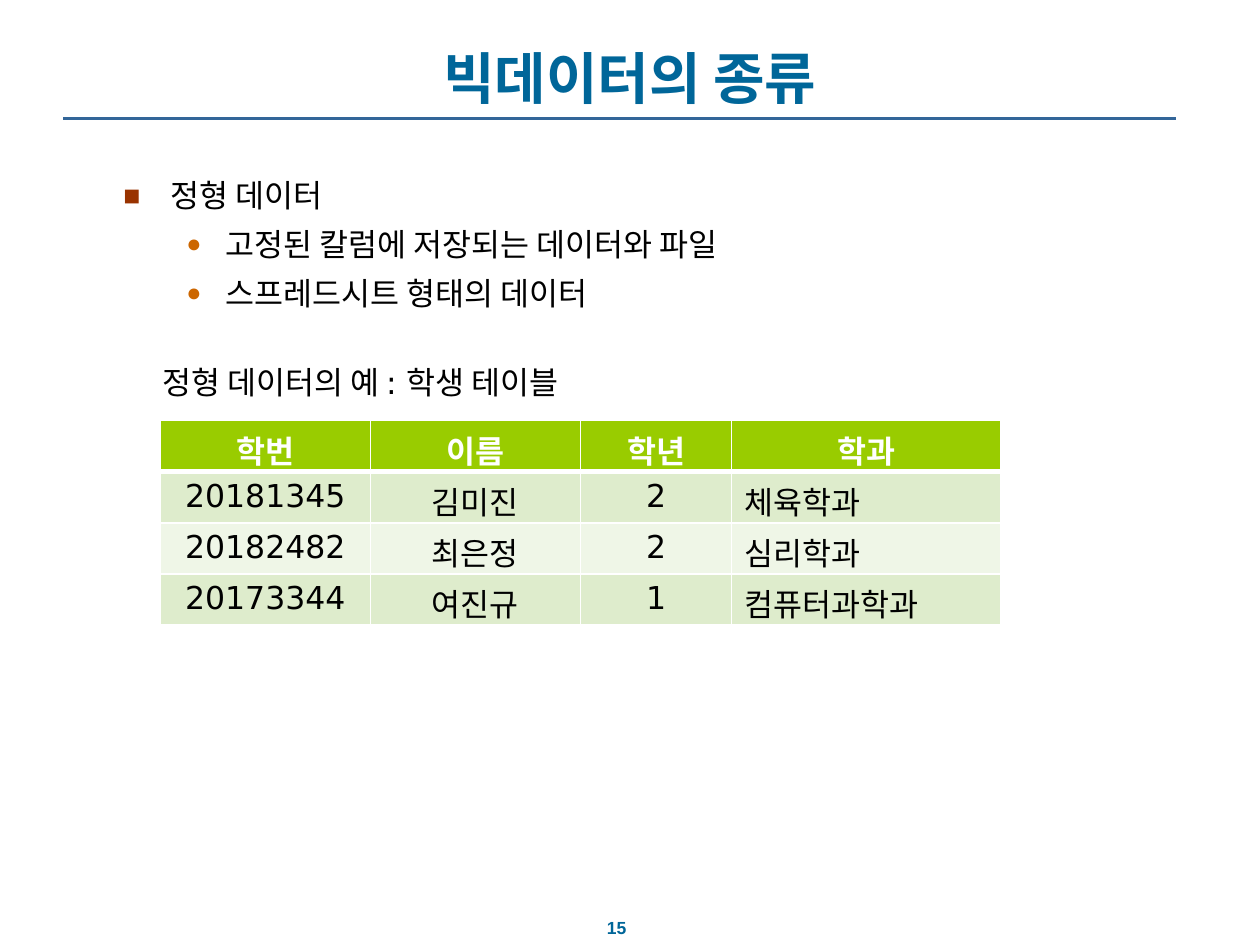
import lxml.etree
import pptx
import pptx.dml.color
import pptx.enum.shapes
import pptx.enum.text
import pptx.oxml.ns
import pptx.util

Cm, Pt = pptx.util.Cm, pptx.util.Pt
RGBColor = pptx.dml.color.RGBColor
Align = pptx.enum.text.PP_ALIGN
Anchor = pptx.enum.text.MSO_ANCHOR
qn = pptx.oxml.ns.qn

TEAL = RGBColor(0x00, 0x66, 0x99)
RULE_BLUE = RGBColor(0x33, 0x66, 0x99)
BROWN = RGBColor(0x99, 0x33, 0x00)
ORANGE = RGBColor(0xCC, 0x66, 0x00)
HEADER_GREEN = RGBColor(0x99, 0xCC, 0x00)
BAND_DARK = RGBColor(0xDE, 0xEC, 0xCC)
BAND_LIGHT = RGBColor(0xEF, 0xF6, 0xE7)
BLACK = RGBColor(0, 0, 0)
WHITE = RGBColor(0xFF, 0xFF, 0xFF)

# Text, marker, marker colour, marker size in %, left margin, hanging indent
BULLETS = [
    ("정형 데이터", "■", BROWN, 90, Cm(0.95), Cm(0.95)),
    ("고정된 칼럼에 저장되는 데이터와 파일", "●", ORANGE, 80, Cm(2.06), Cm(0.79)),
    ("스프레드시트 형태의 데이터", "●", ORANGE, 80, Cm(2.06), Cm(0.79)),
]
STUDENTS = [
    ("학번", "이름", "학년", "학과"),
    ("20181345", "김미진", "2", "체육학과"),
    ("20182482", "최은정", "2", "심리학과"),
    ("20173344", "여진규", "1", "컴퓨터과학과"),
]
COLUMN_SHARES = (0.25, 0.25, 0.18, 0.32)


def add_node(parent, tag, **attributes):
    node = lxml.etree.SubElement(parent, qn(tag))
    for name, value in attributes.items():
        node.set(name, str(value))
    return node


def add_span(para, text, size, color, font="Arial", bold=False):
    span = para.add_run()
    span.text = text
    span.font.size = Pt(size)
    span.font.name = font
    span.font.bold = bold
    span.font.color.rgb = color


def add_text_frame(page, box, wrap=True, anchor=Anchor.TOP):
    frame = page.shapes.add_textbox(*box).text_frame
    frame.word_wrap = wrap
    frame.vertical_anchor = anchor
    if not wrap:
        frame.auto_size = pptx.enum.text.MSO_AUTO_SIZE.SHAPE_TO_FIT_TEXT
    return frame


def add_label(page, box, text, size, color, align=Align.LEFT, **style):
    para = add_text_frame(page, box, wrap=False).paragraphs[0]
    para.alignment = align
    add_span(para, text, size, color, **style)


def add_heading(page, box, text):
    left, top, width, height = box
    frame = add_text_frame(page, box, anchor=Anchor.BOTTOM)
    para = frame.paragraphs[0]
    para.alignment = Align.CENTER
    add_span(para, text, 32, TEAL, bold=True)

    # Rule under the title
    rule_y = top + height + Cm(0.03)
    rule = page.shapes.add_connector(
        pptx.enum.shapes.MSO_CONNECTOR.STRAIGHT,
        left, rule_y, left + width - Cm(0.43), rule_y)
    rule.line.color.rgb = RULE_BLUE
    rule.line.width = Pt(1.5)
    add_node(rule._element.spPr, "a:effectLst")


def add_bullets(page, box, bullets):
    frame = add_text_frame(page, box)
    for index, (text, marker, color, size, margin, hang) in enumerate(bullets):
        para = frame.add_paragraph() if index else frame.paragraphs[0]
        para.level = 1 if index else 0
        props = para._p.get_or_add_pPr()
        props.set("marL", str(int(margin)))
        props.set("indent", str(-int(hang)))
        add_node(add_node(props, "a:spcBef"), "a:spcPct", val=35000)
        add_node(add_node(props, "a:buClr"), "a:srgbClr", val=color)
        add_node(props, "a:buSzPct", val=size * 1000)
        add_node(props, "a:buFont", typeface="Arial")
        add_node(props, "a:buChar", char=marker)
        add_span(para, text, 18, BLACK)


def set_borders(cell, top, bottom):
    props = cell._tc.get_or_add_tcPr()
    widths = {"a:lnL": 1, "a:lnR": 1, "a:lnT": top, "a:lnB": bottom}
    for tag, width in widths.items():
        line = add_node(props, tag, w=int(Pt(width)))
        add_node(add_node(line, "a:solidFill"), "a:srgbClr", val=WHITE)


def add_student_table(page, box, rows):
    left, top, width, height = box
    table = page.shapes.add_table(len(rows), len(rows[0]), *box).table
    for column, share in zip(table.columns, COLUMN_SHARES):
        column.width = int(width * share)
    for r, values in enumerate(rows):
        table.rows[r].height = int(height / len(rows))
        header = r == 0
        fill = HEADER_GREEN if header else (BAND_DARK if r % 2 else BAND_LIGHT)
        for c, value in enumerate(values):
            cell = table.cell(r, c)
            set_borders(cell, top=3 if r == 1 else 1, bottom=3 if header else 1)
            cell.fill.solid()
            cell.fill.fore_color.rgb = fill
            para = cell.text_frame.paragraphs[0]
            last = c == len(values) - 1
            para.alignment = Align.LEFT if last and not header else Align.CENTER
            add_span(para, value, 18, WHITE if header else BLACK,
                     font="DejaVu Sans", bold=header)


deck = pptx.Presentation()
deck.slide_width, deck.slide_height = Cm(25.4), Cm(19.05)
page = deck.slides.add_slide(deck.slide_layouts[6])

add_heading(page, (Cm(1.27), Cm(0.76), Cm(22.86), Cm(1.6)), "빅데이터의 종류")
add_bullets(page, (Cm(2.24), Cm(3.43), Cm(22.86), Cm(12.57)), BULLETS)
add_label(page, (Cm(3.02), Cm(7.19), Cm(9.63), Cm(1.02)),
          "정형 데이터의 예 : 학생 테이블", 18, BLACK, font="DejaVu Sans")
add_student_table(page, (Cm(3.23), Cm(8.48), Cm(16.94), Cm(4.12)), STUDENTS)
add_label(page, (Cm(11.96), Cm(18.36), Cm(0.94), Cm(0.69)),
          "15", 10, TEAL, align=Align.CENTER, bold=True)

deck.save("out.pptx")
